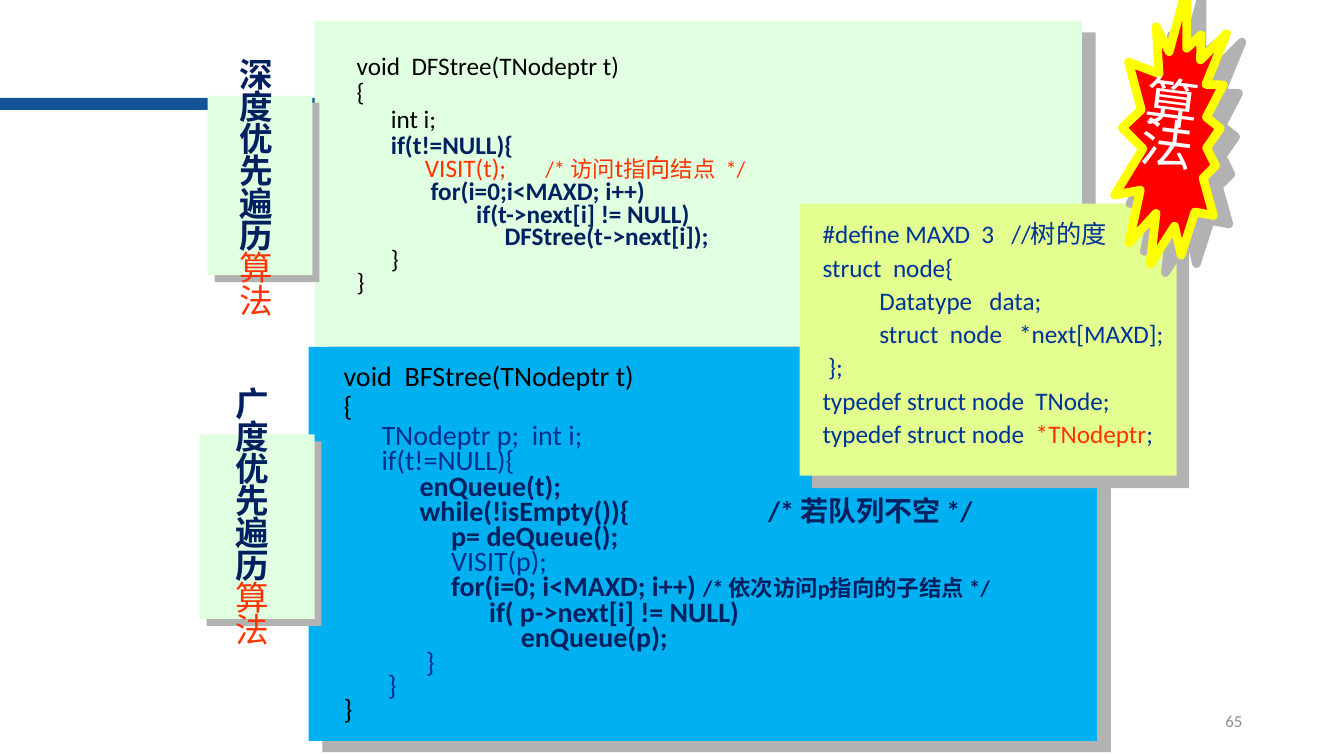
from lxml import etree
from pptx import Presentation
from pptx.dml.color import RGBColor
from pptx.enum import shapes, text
from pptx.oxml import ns
from pptx.util import Inches, Pt

NAVY = RGBColor(0x00, 0x20, 0x60)
BLUE = RGBColor(0x00, 0x2F, 0x8C)
STRUCT_BLUE = RGBColor(0x00, 0x33, 0x99)
BAR_BLUE = RGBColor(0x14, 0x53, 0x96)
SKY = RGBColor(0x00, 0xB0, 0xF0)
MINT = RGBColor(0xE1, 0xFF, 0xE1)
LIME = RGBColor(0xE2, 0xFF, 0x8F)
ORANGE = RGBColor(0xFF, 0x33, 0x00)
RED = RGBColor(0xFF, 0x00, 0x00)
YELLOW = RGBColor(0xFF, 0xFF, 0x00)
BLACK = RGBColor(0x00, 0x00, 0x00)
WHITE = RGBColor(0xFF, 0xFF, 0xFF)
GREY = RGBColor(0x8C, 0x8C, 0x8C)
CJK = "Noto Sans CJK SC"

prs = Presentation()
prs.slide_width, prs.slide_height = Inches(13.33), Inches(7.5)
slide = prs.slides.add_slide(prs.slide_layouts[6])


def add_panel(box, fill, shadow=None, preset=shapes.MSO_SHAPE.RECTANGLE):
    """Filled shape; shadow is (distance in points, angle in degrees)."""
    panel = slide.shapes.add_shape(preset, *map(Inches, box))
    panel.fill.solid()
    panel.fill.fore_color.rgb = fill
    panel.line.fill.background()
    panel.shadow.inherit = False
    if shadow:
        distance, angle = shadow
        effects = panel._element.spPr.find(ns.qn("a:effectLst"))
        outer = etree.SubElement(effects, ns.qn("a:outerShdw"), dist=str(Pt(distance)),
                                 dir=str(angle * 60000), algn="ctr", rotWithShape="0")
        etree.SubElement(outer, ns.qn("a:srgbClr"), val="B2B2B2")
    return panel


def add_lines(box, lines, size, spacing, font="Calibri", tab=None):
    """Each line is (runs, colour, bold, space after, spacing), the tail optional.
    Runs are a string or a list of (text, overrides)."""
    area = slide.shapes.add_textbox(*map(Inches, box))
    frame = area.text_frame
    frame.word_wrap = True
    for number, (runs, colour, *rest) in enumerate(lines):
        bold, after, line_spacing = rest + [False, 0, spacing][len(rest):]
        line = frame.paragraphs[0] if number == 0 else frame.add_paragraph()
        line.line_spacing = line_spacing
        line.space_after = Pt(after)
        if tab:
            stops = etree.SubElement(line._p.get_or_add_pPr(), ns.qn("a:tabLst"))
            etree.SubElement(stops, ns.qn("a:tab"), pos=str(Inches(tab)), algn="l")
        line.font.name, line.font.size = font, Pt(size)
        line.font.bold, line.font.color.rgb = bold, colour
        for words, changes in [(runs, {})] if isinstance(runs, str) else runs:
            run = line.add_run()
            run.text = words
            if "size" in changes:
                run.font.size = Pt(changes["size"])
            if "colour" in changes:
                run.font.color.rgb = changes["colour"]
            if "bold" in changes:
                run.font.bold = changes["bold"]
            if "font" in changes:
                run.font.name = changes["font"]
            fonts = run._r.get_or_add_rPr()
            etree.SubElement(fonts, ns.qn("a:ea"), typeface=CJK)
    return area


# Title bar and slide number
add_panel((0, 0.97, 3.72, 0.12), BAR_BLUE)
page = add_lines((9.42, 6.95, 3, 0.4), [("65", GREY)], 12, 1)
page.text_frame.vertical_anchor = text.MSO_ANCHOR.MIDDLE
page.text_frame.paragraphs[0].alignment = text.PP_ALIGN.RIGHT

# Code panels
add_panel((3.12, 0.21, 7.61, 3.23), MINT, (12.8, 39))
add_panel((3.06, 3.44, 7.82, 3.91), SKY, (12.8, 39))

# Vertical headings, one character per line
for plate, heading_box, heading in [
    ((2.06, 0.95, 1.04, 1.78), (2.28, 0.56, 0.52, 2.68), "深度优先遍历"),
    ((1.98, 4.31, 1.14, 1.83), (2.24, 3.83, 0.53, 2.69), "广度优先遍历"),
]:
    add_panel(plate, MINT, (7.1, 45))
    add_lines(heading_box, [([(heading, {"bold": True}), ("算法", {"colour": ORANGE})], NAVY)],
              24, 0.8, CJK)

# Breadth-first traversal
add_lines((3.31, 3.59, 7.56, 3.7), [
    ("void  BFStree(TNodeptr t)", BLACK, False, 3),
    ("{", BLACK, False, 3),
    ("      TNodeptr p;  int i;", BLUE),
    ("      if(t!=NULL){", BLUE),
    ("            enQueue(t);", NAVY, True),
    ([("            while(!isEmpty()){\t/* 若队列不空", {}), (" ", {"size": 18}), ("*/", {})],
     NAVY, True),
    ("                 p= deQueue();", NAVY, True),
    ("                 VISIT(p);", BLUE),
    ([("                 for(i=0; i<MAXD; i++) ", {}),
      ("/* 依次访问p指向的子结点 */", {"size": 16})], NAVY, True),
    ("                       if( p->next[i] != NULL)", NAVY, True),
    ("                            enQueue(p);", NAVY, True),
    ("             }", BLUE),
    ("       }", BLUE, False, 0, 0.65),
    ("}", BLACK),
], 20, 0.75, tab=4.21)

# Depth-first traversal
add_lines((3.44, 0.52, 6.93, 2.51), [
    ("void  DFStree(TNodeptr t)", BLACK, False, 2.7),
    ("{", BLACK, False, 2.7),
    ("      int i;", BLACK, False, 2.7),
    ("      if(t!=NULL){", NAVY, True),
    ([("            VISIT(t);\t", {}), ("/* 访问", {"size": 16}), ("t", {}),
      ("指", {"size": 16}), ("向", {}), ("结点  */", {"size": 16})], ORANGE),
    ("             for(i=0;i<MAXD; i++)", NAVY, True),
    ("                     if(t->next[i] != NULL)", NAVY, True),
    ([("                          DFStree(t", {}), ("-", {"font": CJK}), (">next[i]);", {})],
     NAVY, True),
    ("      }", BLACK),
    ("}", BLACK),
], 18, 0.75, tab=1.87)

# Node structure
add_panel((7.93, 2.02, 3.74, 2.7), LIME, (12.7, 45))
add_lines((8.06, 2.09, 3.61, 2.43), [
    ("#define MAXD  3   //树的度", STRUCT_BLUE),
    ("struct  node{", STRUCT_BLUE),
    ("          Datatype   data;", STRUCT_BLUE),
    ("          struct  node   *next[MAXD];", STRUCT_BLUE),
    (" };", STRUCT_BLUE),
    ("typedef struct node  TNode;", STRUCT_BLUE),
    ([("typedef struct node  ", {}), ("*TNodeptr", {"colour": ORANGE}), (";", {})], STRUCT_BLUE),
], 18, 1.1)

# Starburst
burst = add_panel((10.27, 0.66, 2.75, 1.2), RED, (12.5, 29), shapes.MSO_SHAPE.EXPLOSION2)
burst.rotation = 284.7
burst.line.color.rgb = YELLOW
burst.line.width = Pt(6.25)
burst_label = add_lines((11.23, 0.84, 0.73, 0.97), [("算", WHITE), ("法", WHITE)], 38, 0.65)
burst_label.rotation = 7.3

prs.save("out.pptx")
